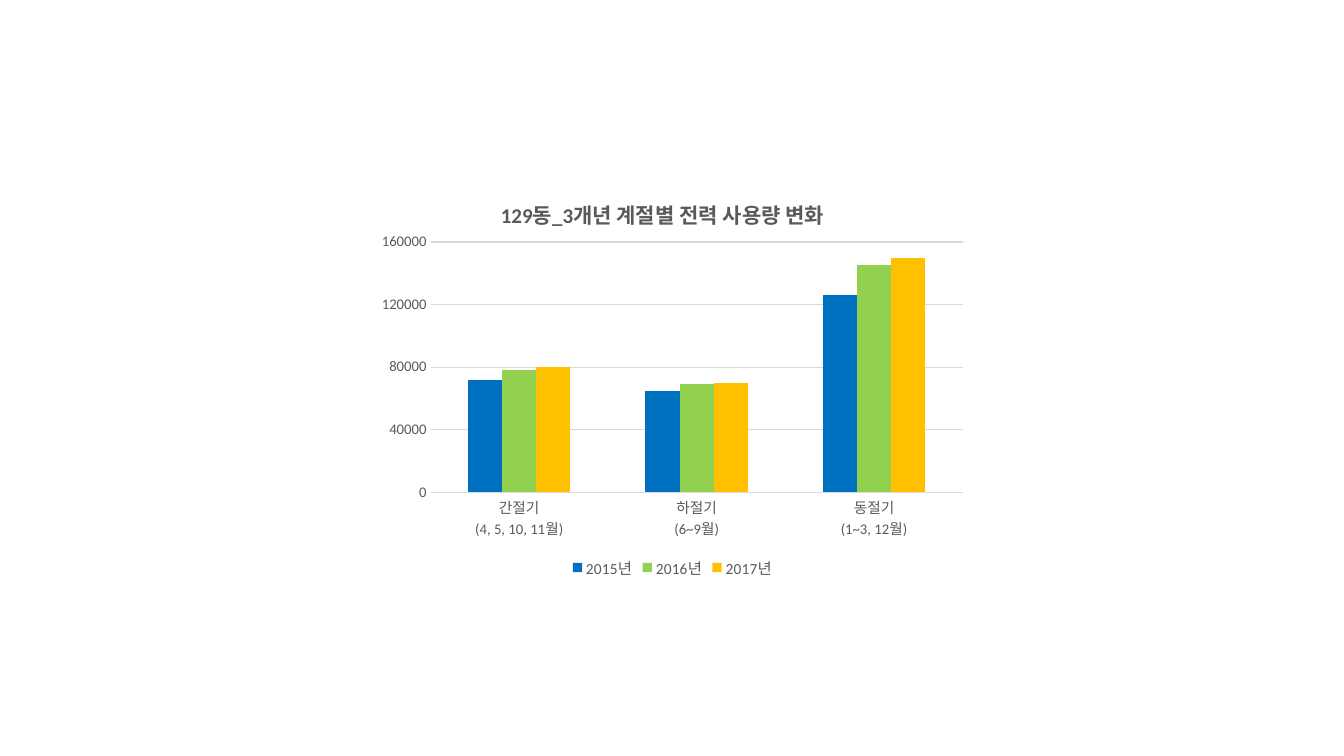
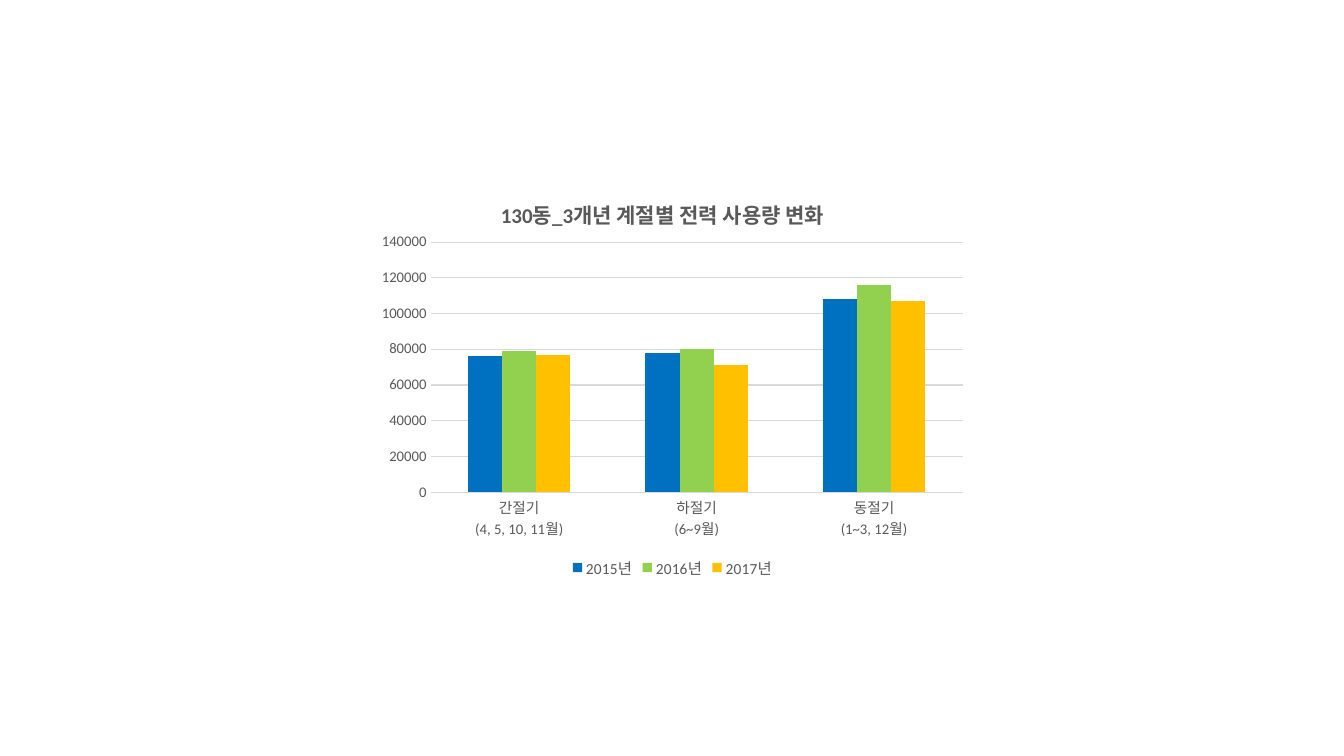
from lxml.etree import SubElement
from pptx import Presentation
from pptx.chart.data import CategoryChartData
from pptx.dml.color import RGBColor
from pptx.enum.chart import XL_CHART_TYPE, XL_LEGEND_POSITION, XL_TICK_MARK
from pptx.oxml.ns import qn
from pptx.util import Inches, Pt

FACE = "Calibri"
BLACK = RGBColor(0x00, 0x00, 0x00)
GRAY = RGBColor(0x59, 0x59, 0x59)
RULE = RGBColor(0xD9, 0xD9, 0xD9)
BLUE = RGBColor(0x00, 0x70, 0xC0)
GREEN = RGBColor(0x92, 0xD0, 0x50)
GOLD = RGBColor(0xFF, 0xC0, 0x00)

SEASONS = ["간절기\n(4, 5, 10, 11월)", "하절기\n(6~9월)", "동절기\n(1~3, 12월)"]
YEARS = [("2015년", BLUE), ("2016년", GREEN), ("2017년", GOLD)]
BLOCKS = [
    ("129동", 160000, 40000, [
        (72000, 65000, 126000),
        (78000, 69000, 145000),
        (80000, 70000, 150000),
    ]),
    ("130동", 140000, 20000, [
        (76000, 78000, 108000),
        (79000, 80000, 116000),
        (77000, 71000, 107000),
    ]),
]


def set_font(font, size, color=GRAY, bold=False):
    font.name = FACE
    font.size = Pt(size)
    font.bold = bold
    font.color.rgb = color


def put_text(frame, text, **style):
    frame.text = text
    set_font(frame.paragraphs[0].runs[0].font, **style)


def set_line(line, color=RULE, width=0.75):
    line.color.rgb = color
    line.width = Pt(width)


def place(parent, index, **parts):
    for old in parent.findall(qn("c:layout")):
        parent.remove(old)
    layout = SubElement(parent, qn("c:layout"))
    parent.insert(index, layout)
    manual = SubElement(layout, qn("c:manualLayout"))
    for tag, value in parts.items():
        SubElement(manual, qn(f"c:{tag}")).set("val", str(value))


def style_axis(axis):
    axis.major_tick_mark = XL_TICK_MARK.NONE
    axis.minor_tick_mark = XL_TICK_MARK.NONE
    set_font(axis.tick_labels.font, 10.5)


def style_axes(chart, top, step):
    season, usage = chart.category_axis, chart.value_axis
    style_axis(season)
    set_line(season.format.line)
    style_axis(usage)
    usage.format.line.fill.background()
    usage.minimum_scale = 0
    usage.maximum_scale = top
    usage.major_unit = step
    usage.has_major_gridlines = True
    set_line(usage.major_gridlines.format.line)


def style_bars(plot):
    plot.gap_width = 219
    plot.overlap = 0
    plot.vary_by_categories = False
    for series, (_, color) in zip(plot.series, YEARS):
        series.format.fill.solid()
        series.format.fill.fore_color.rgb = color


def add_title(chart, text):
    chart.has_title = True
    put_text(chart.chart_title.text_frame, text, size=15, bold=True)
    title = chart.element.find(".//" + qn("c:title"))
    place(title, 1, xMode="edge", yMode="edge", x=0.21, y=0.05)


def add_legend(chart):
    chart.has_legend = True
    chart.legend.position = XL_LEGEND_POSITION.BOTTOM
    chart.legend.include_in_layout = False
    set_font(chart.legend.font, 11)


def add_usage(slide, block, top, step, rows):
    data = CategoryChartData(number_format="General")
    data.categories = SEASONS
    for (year, _), row in zip(YEARS, rows):
        data.add_series(year, row)
    chart = slide.shapes.add_chart(
        XL_CHART_TYPE.COLUMN_CLUSTERED,
        Inches(3.67), Inches(1.71), Inches(6), Inches(4.07), data,
    ).chart
    set_font(chart.font, 10, BLACK)
    add_title(chart, f"{block}_3개년 계절별 전력 사용량 변화")
    style_axes(chart, top, step)
    style_bars(chart.plots[0])
    add_legend(chart)
    area = chart.element.find(".//" + qn("c:plotArea"))
    place(area, 0, layoutTarget="inner", xMode="edge", yMode="edge",
          x=0.1, y=0.17, w=0.88, h=0.61)


def main():
    deck = Presentation()
    deck.slide_width = Inches(13.33)
    deck.slide_height = Inches(7.5)
    for block in BLOCKS:
        add_usage(deck.slides.add_slide(deck.slide_layouts[6]), *block)
    deck.save("out.pptx")


if __name__ == "__main__":
    main()
